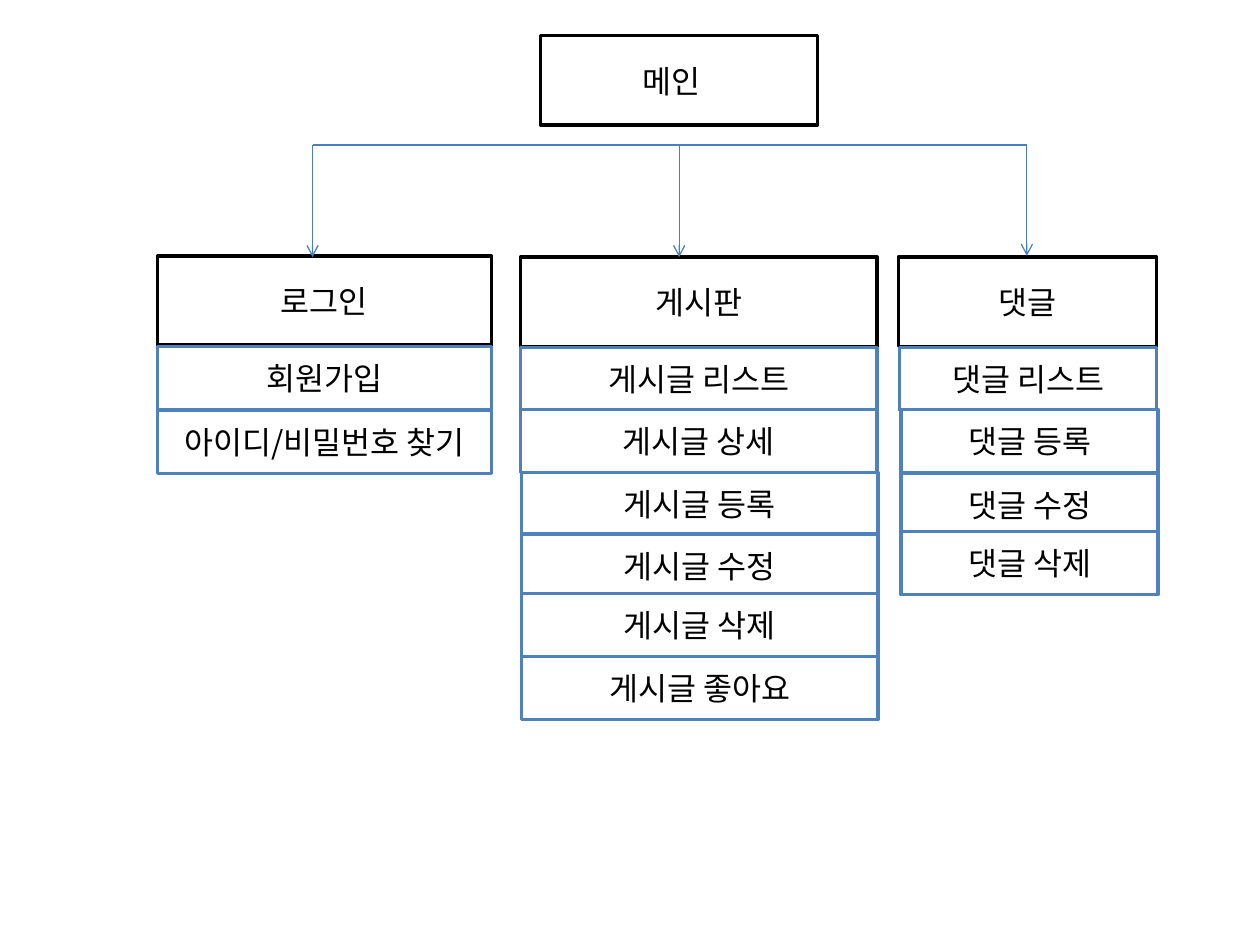
from lxml import etree
from pptx import Presentation
from pptx.dml.color import RGBColor
from pptx.enum.shapes import MSO_CONNECTOR, MSO_SHAPE
from pptx.enum.text import MSO_ANCHOR, PP_ALIGN
from pptx.oxml.ns import qn
from pptx.util import Pt

RECT = MSO_SHAPE.RECTANGLE
STRAIGHT = MSO_CONNECTOR.STRAIGHT
MIDDLE, TOP = MSO_ANCHOR.MIDDLE, MSO_ANCHOR.TOP
CENTER, LEFT = PP_ALIGN.CENTER, PP_ALIGN.LEFT

BLACK = RGBColor(0x00, 0x00, 0x00)
WHITE = RGBColor(0xFF, 0xFF, 0xFF)
BLUE = RGBColor(0x4F, 0x81, 0xBD)
LINE_BLUE = RGBColor(0x4B, 0x7E, 0xBC)

HEAD_H, ROW_H = 51.1, 36
BUS_Y = 82.8

COLUMNS = [
    {"head": ("로그인", 90, 146.2, 190.8), "row_width": 190.8, "arrow": (178.6, 82.8, 146.9),
     "rows": [("회원가입", 90, 198), ("아이디/비밀번호 찾기", 90, 234.7)]},
    {"head": ("게시판", 297.4, 146.9, 203.8), "row_width": 203.8, "arrow": (388.1, 82.8, 146.9),
     "rows": [("게시글 리스트", 297.4, 198.7), ("게시글 상세", 297.4, 234),
              ("게시글 등록", 298, 270), ("게시글 수정", 298.1, 305.2),
              ("게시글 삭제", 298.1, 339.2), ("게시글 좋아요", 298.1, 375.1)]},
    {"head": ("댓글", 513.3, 146.9, 147.6), "row_width": 146.9, "arrow": (586.8, 82.1, 146.2),
     "rows": [("댓글 리스트", 514, 198.7), ("댓글 등록", 515, 234),
              ("댓글 수정", 515, 270.7), ("댓글 삭제", 515, 303.8)]},
]


def put_text(tf, text, font="Noto Sans CJK KR", size=18, color=BLACK, align=CENTER, anchor=MIDDLE):
    tf.word_wrap = True
    tf.vertical_anchor = anchor
    p = tf.paragraphs[0]
    p.alignment = align
    r = p.add_run()
    r.text = text
    r.font.name, r.font.size = font, Pt(size)
    r.font.color.rgb = color
    etree.SubElement(r.font._element, qn("a:ea"), typeface=font)


class SiteMap:
    """Draws the boxes, labels and connectors of a site map on one slide."""

    def __init__(self, s, border=2, stroke=0.75):
        self.s, self.border, self.stroke = s, border, stroke

    def box(self, x, y, w, h, color, text=None):
        sp = self.s.shapes.add_shape(RECT, Pt(x), Pt(y), Pt(w), Pt(h))
        sp.shadow.inherit = False
        sp.fill.solid()
        sp.fill.fore_color.rgb = WHITE
        sp.line.color.rgb = color
        sp.line.width = Pt(self.border)
        if text:
            put_text(sp.text_frame, text)

    def label(self, x, y, w, h, text):
        sp = self.s.shapes.add_textbox(Pt(x), Pt(y), Pt(w), Pt(h))
        put_text(sp.text_frame, text, align=LEFT, anchor=TOP)

    def line(self, x1, y1, x2, y2, arrow=False):
        sp = self.s.shapes.add_connector(STRAIGHT, Pt(x1), Pt(y1), Pt(x2), Pt(y2))
        sp.line.color.rgb = LINE_BLUE
        sp.line.width = Pt(self.stroke)
        if arrow:
            etree.SubElement(sp.line._get_or_add_ln(), qn("a:tailEnd"), type="arrow")
        etree.SubElement(sp._element.spPr, qn("a:effectLst"))


def main():
    prs = Presentation()
    prs.slide_width, prs.slide_height = Pt(720), Pt(540)
    site = SiteMap(prs.slides.add_slide(prs.slide_layouts[6]))

    for column in COLUMNS:
        text, x, y, w = column["head"]
        site.box(x, y, w, HEAD_H, BLACK, text)
        for text, x, y in column["rows"]:
            site.box(x, y, column["row_width"], ROW_H, BLUE, text)

    arrows = [column["arrow"] for column in COLUMNS]
    for start, end in zip(arrows, arrows[1:]):
        site.line(start[0], BUS_Y, end[0], BUS_Y)
    for x, top, bottom in arrows:
        site.line(x, top, x, bottom, arrow=True)

    site.box(308.9, 20.2, 158.4, HEAD_H, BLACK)
    site.label(360, 31.7, 90, 28.8, "메인")
    prs.save("out.pptx")


if __name__ == "__main__":
    main()
